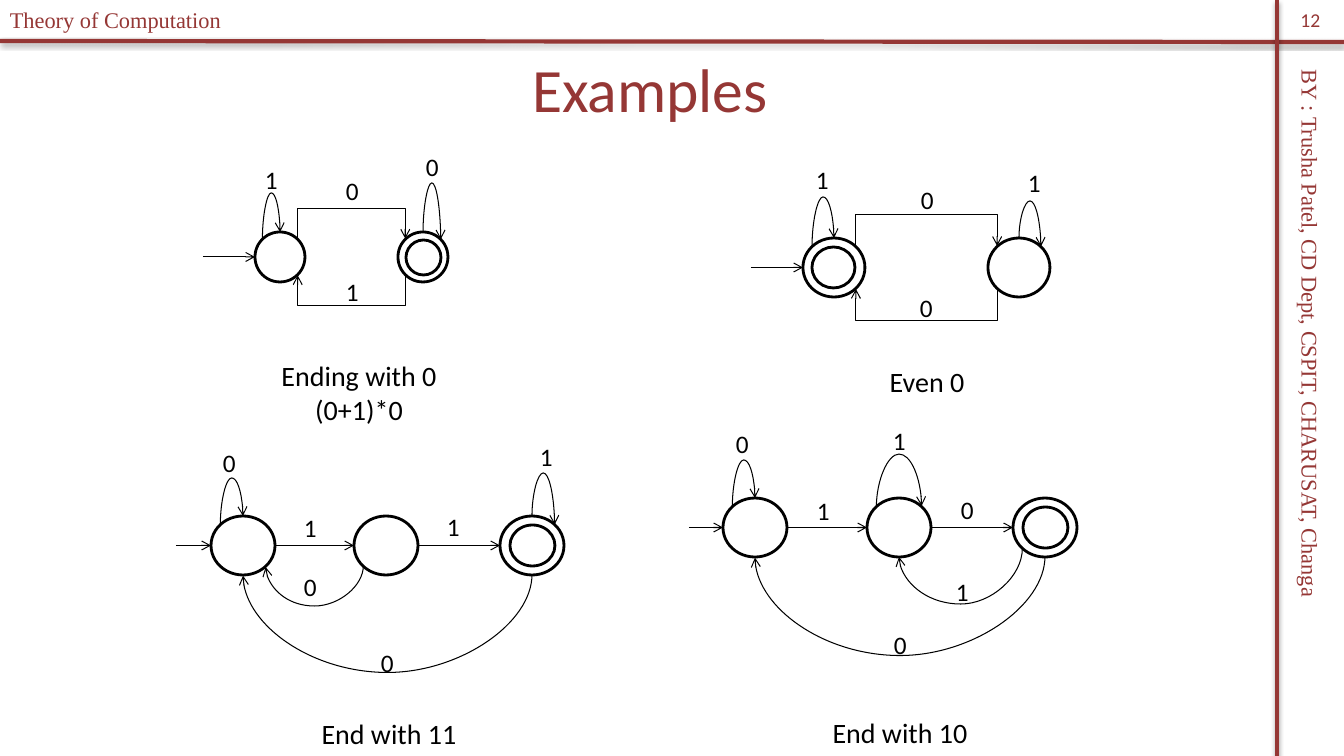
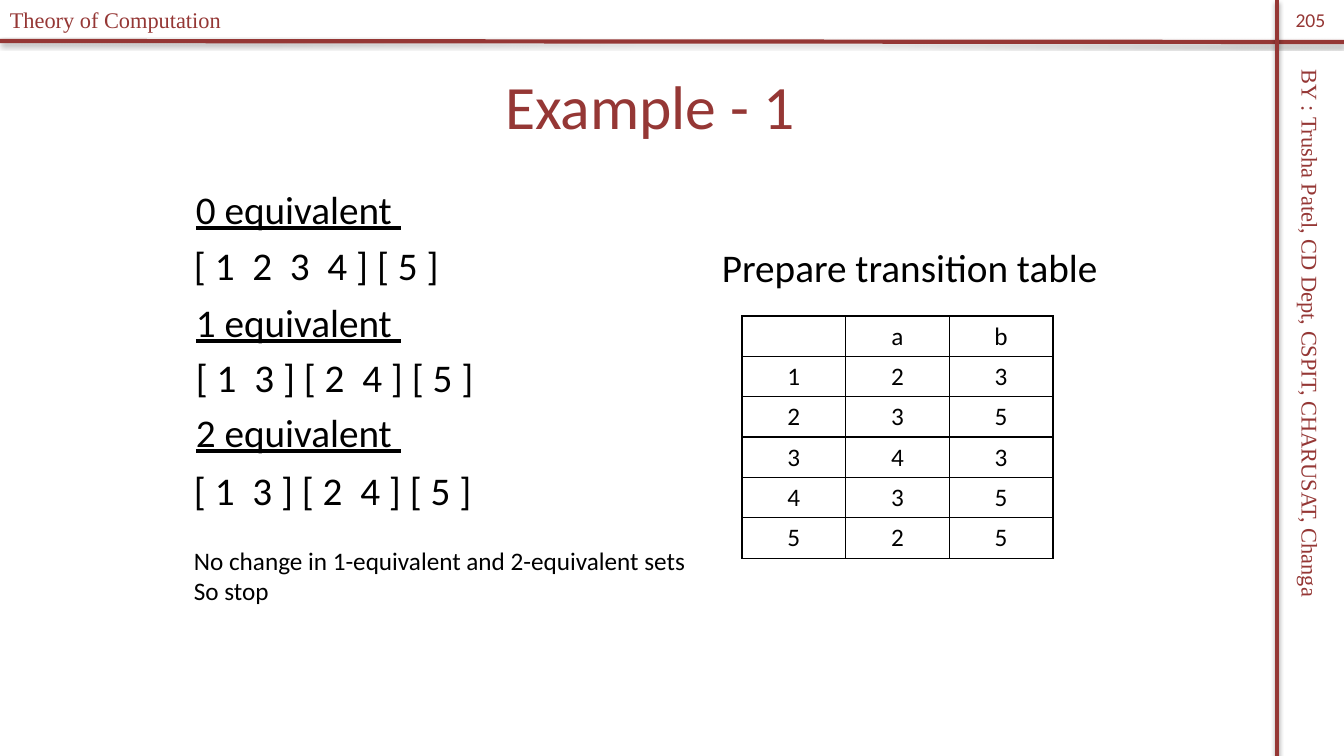
import math

from lxml import etree
from pptx import Presentation
from pptx.dml.color import RGBColor
from pptx.enum.dml import MSO_LINE
from pptx.enum.shapes import MSO_CONNECTOR, MSO_SHAPE
from pptx.enum.text import MSO_ANCHOR, MSO_AUTO_SIZE, PP_ALIGN
from pptx.oxml.ns import qn
from pptx.util import Emu, Pt

SOLID = MSO_LINE.SOLID
LINE, BENT, CURVE = MSO_CONNECTOR.STRAIGHT, MSO_CONNECTOR.ELBOW, MSO_CONNECTOR.CURVE
OVAL = MSO_SHAPE.OVAL
LEFT, MID = PP_ALIGN.LEFT, PP_ALIGN.CENTER
CENTRE, TOP = MSO_ANCHOR.MIDDLE, MSO_ANCHOR.TOP
GROW = MSO_AUTO_SIZE.SHAPE_TO_FIT_TEXT
SCALE = 12192000 / 1344
WIDE, HIGH = 1344, 756
THIN = 12700
HUES = {"red": "953735", "ink": "000000", "paper": "FFFFFF"}
SANS, SERIF = "Calibri", "Times New Roman"
NORTH, NW, WEST, SW, SOUTH, SE, EAST, NE = range(8)


def px(n):
    return Emu(round(n * SCALE))


def hue(name):
    return RGBColor.from_string(HUES[name])


def sub(node, tag, **attrs):
    return etree.SubElement(node, qn(tag), {k: str(v) for k, v in attrs.items()})


def spot(oval, site):
    turn = math.radians(90 + 45 * site)
    return (oval.left + oval.width / 2 * (1 + math.cos(turn)),
            oval.top + oval.height / 2 * (1 - math.sin(turn)))


class Deck:
    """Holds the style and the current slide, and draws each kind of element."""

    def __init__(self):
        self.prs = Presentation()
        self.prs.slide_width, self.prs.slide_height = px(WIDE), px(HIGH)
        self.slide = None

    def page(self, title, top, number):
        first = self.slide is None
        self.slide = self.prs.slides.add_slide(self.prs.slide_layouts[5])
        if first:
            self.frame()
        head = self.slide.shapes.title
        head.left, head.top, head.width, head.height = map(px, (184, top, 932, 126))
        self.fill(head.text_frame, [title], 44, "red", MID, anchor=CENTRE)
        self.text([number], 1277, 0, 67, 40, 14, "red", MID, wrap=True, anchor=CENTRE)

    def frame(self):
        parts = [self.band(0, 41, WIDE, 42), self.band(1277, 0, 1277, HIGH),
                 self.text(["BY : Trusha Patel, CD Dept, CSPIT, CHARUSAT, Changa"],
                           987, 365, 647, 37, 16, "red", font=SERIF),
                 self.text(["Theory of Computation"], 0, 1, 332, 37, 16, "red", font=SERIF)]
        parts[2].rotation = 90
        tree = self.prs.slide_master.element.cSld.spTree
        for n, part in enumerate(parts, 20):
            part.element.xpath(".//p:cNvPr")[0].set("id", str(n))
            tree.append(part.element)

    def fill(self, frame, lines, size, color, align=LEFT, font=SANS, under=False, anchor=TOP):
        frame.vertical_anchor = anchor
        for n, line in enumerate(lines):
            para = frame.add_paragraph() if n else frame.paragraphs[0]
            para.alignment = align
            run = para.add_run()
            run.text = line
            run.font.size, run.font.name = Pt(size), font
            run.font.color.rgb = hue(color)
            if under:
                run.font.underline = True

    def text(self, lines, x, y, w, h, size, color="ink", align=LEFT, wrap=False, **style):
        box = self.slide.shapes.add_textbox(*map(px, (x, y, w, h)))
        box.text_frame.word_wrap = wrap
        if not wrap:
            box.text_frame.auto_size = GROW
        self.fill(box.text_frame, lines, size, color, align, **style)
        return box

    def link(self, kind, x, y, x2, y2, color="ink", width=0.75):
        ends = (Emu(round(n)) for n in (x, y, x2, y2))
        wire = self.slide.shapes.add_connector(kind, *ends)
        wire.line.width, wire.line.dash_style = Pt(width), SOLID
        wire.line.color.rgb = hue(color)
        return wire, sub(wire.element.spPr, "a:effectLst")

    def band(self, *ends):
        wire, glow = self.link(LINE, *map(px, ends), "red", 3)
        shade = sub(glow, "a:outerShdw", blurRad=39370, dist=22860, dir=5400000,
                    algn="ctr", rotWithShape=0)
        sub(sub(shade, "a:srgbClr", val=HUES["ink"]), "a:alpha", val=35000)
        return wire

    def arrow(self, kind, *ends):
        wire, _ = self.link(kind, *ends)
        sub(wire.line._get_or_add_ln(), "a:tailEnd", type="arrow")
        return wire

    def glue(self, wire, tag, oval, site):
        sub(wire.element.nvCxnSpPr.cNvCxnSpPr, tag, id=oval.shape_id, idx=site)

    def entry(self, oval, size):
        x, y = spot(oval, WEST)
        self.glue(self.arrow(LINE, x - px(size), y, x, y), "a:endCxn", oval, WEST)

    def step(self, kind, start, out, end, into, peak=None):
        (x, y), (x2, y2) = spot(start, out), spot(end, into)
        if peak is None:
            wire = self.arrow(kind, x, y, x2, y2)
        else:
            wire = self.arch(kind, x, y, x2, y2, px(peak))
        self.glue(wire, "a:stCxn", start, out)
        self.glue(wire, "a:endCxn", end, into)

    def arch(self, kind, x, y, x2, y2, peak):
        rise = y2 - y
        if abs(rise) < THIN:
            rise = math.copysign(THIN, peak - y)
        wide, high = abs(rise), abs(x2 - x)
        left, top = (x + x2 - wide) / 2, (y + y2 - high) / 2
        wire = self.arrow(kind, left, top, left + wide, top + high)
        form = wire.element.spPr.xfrm
        down = x2 > x and rise > 0
        form.set("rot", str((270 if down else 90) * 60000))
        if x2 > x:
            form.set("flipH", "1")
            if not down:
                form.set("flipV", "1")
        bends = wire.element.spPr.find(qn("a:prstGeom")).find(qn("a:avLst"))
        sub(bends, "a:gd", name="adj1", fmla=f"val {round((peak - y) / rise * 100000)}")
        return wire

    def oval(self, x, y, w, h):
        ring = self.slide.shapes.add_shape(OVAL, *map(px, (x, y, w, h)))
        ring.shadow.inherit = False
        ring.fill.solid()
        ring.fill.fore_color.rgb = hue("paper")
        ring.line.color.rgb = hue("ink")
        ring.line.width = Pt(2)
        return ring

    def state(self, x, y, w, h, final):
        ring = self.oval(x, y, w, h)
        if final:
            self.oval(x + round(w * 0.15), y + round(h * 0.15), round(w * 0.7), round(h * 0.7))
        return ring

    def machine(self, y, size, spots, final, lead, steps, labels, name, place):
        rings = [self.state(x, y, *size, n == final) for n, x in enumerate(spots)]
        self.entry(rings[0], lead)
        for kind, start, out, end, into, *peak in steps:
            self.step(kind, rings[start], out, rings[end], into, *peak)
        for sign, left, top in labels:
            self.text([sign], left, top, 33, 40, 18)
        self.text(name, *place, 20, align=MID)

    def grid(self, rows, x, y, w, h):
        table = self.slide.shapes.add_table(
            len(rows), len(rows[0]), *map(px, (x, y, w, h))).table
        table.first_row = table.horz_banding = False
        for r, row in enumerate(rows):
            for c, word in enumerate(row):
                cell = table.cell(r, c)
                edges = cell._tc.get_or_add_tcPr()
                for side in "LRTB":
                    edge = sub(edges, f"a:ln{side}", w=THIN)
                    sub(sub(edge, "a:solidFill"), "a:srgbClr", val=HUES["ink"])
                cell.fill.background()
                if word:
                    self.fill(cell.text_frame, [word], 18, "ink", MID)


MACHINES = [
    (232, (50, 50), (255, 398), 1, 52,
     [(CURVE, 0, NW, 0, NORTH, 193), (CURVE, 1, NORTH, 1, NE, 183),
      (BENT, 0, NE, 1, NW, 208), (BENT, 1, SW, 0, SE, 306)],
     [("0", 416, 146), ("1", 255, 159), ("0", 336, 170), ("1", 336, 271)],
     ["Ending with 0", "(0+1)*0"], (271, 354, 176, 78)),
    (516, (64, 59), (211, 354, 500), 2, 35,
     [(LINE, 0, EAST, 1, WEST), (LINE, 1, EAST, 2, WEST),
      (CURVE, 1, SW, 0, SE, 607), (CURVE, 2, SOUTH, 0, SOUTH, 674),
      (CURVE, 2, NORTH, 2, NE, 473), (CURVE, 0, NW, 0, NORTH, 478)],
     [("0", 294, 566), ("1", 437, 506), ("0", 371, 642),
      ("0", 213, 442), ("1", 294, 507), ("1", 530, 436)],
     ["End with 11"], (311, 712, 156, 44)),
    (498, (64, 59), (723, 867, 1013), 2, 34,
     [(LINE, 0, EAST, 1, WEST), (LINE, 1, EAST, 2, WEST),
      (CURVE, 2, SW, 1, SOUTH, 604), (CURVE, 2, SOUTH, 0, SOUTH, 657),
      (CURVE, 0, NW, 0, NORTH, 460), (CURVE, 1, NW, 1, NE, 453)],
     [("1", 946, 571), ("0", 951, 489), ("0", 884, 624),
      ("0", 726, 423), ("1", 807, 490), ("1", 883, 420)],
     ["End with 10"], (822, 711, 156, 44)),
    (238, (62, 59), (803, 988), 0, 52,
     [(BENT, 0, NE, 1, NW, 214), (BENT, 1, SW, 0, SE, 321),
      (CURVE, 0, NW, 0, NORTH, 197), (CURVE, 1, NORTH, 1, NE, 201)],
     [("0", 911, 179), ("0", 910, 287), ("1", 806, 159), ("1", 1018, 162)],
     ["Even 0"], (879, 360, 96, 44)),
]
SETS = [
    ("0 equivalent ", 186, 180, 228), ("[ 1  2  3  4 ] [ 5 ]", 184, 236, 269),
    ("1 equivalent ", 186, 293, 228), ("[ 1  3 ] [ 2  4 ] [ 5 ]", 186, 348, 302),
    ("2 equivalent ", 186, 403, 228), ("[ 1  3 ] [ 2  4 ] [ 5 ]", 184, 461, 302),
]
MOVES = [" ab", "123", "235", "343", "435", "525"]


def main():
    deck = Deck()
    deck.page("Examples", 25, "12")
    for machine in MACHINES:
        deck.machine(*machine)

    deck.page("Example - 1", 42, "205")
    deck.text(["Prepare transition table"], 712, 238, 400, 57, 28)
    deck.grid([[mark.strip() for mark in row] for row in MOVES], 742, 316, 311, 242)
    for line, x, y, w in SETS:
        deck.text([line], x, y, w, 57, 28, under="equivalent" in line)
    deck.text(["No change in 1-equivalent and 2-equivalent sets", "So stop"],
              184, 540, 537, 72, 18)
    deck.prs.save("out.pptx")


if __name__ == "__main__":
    main()
